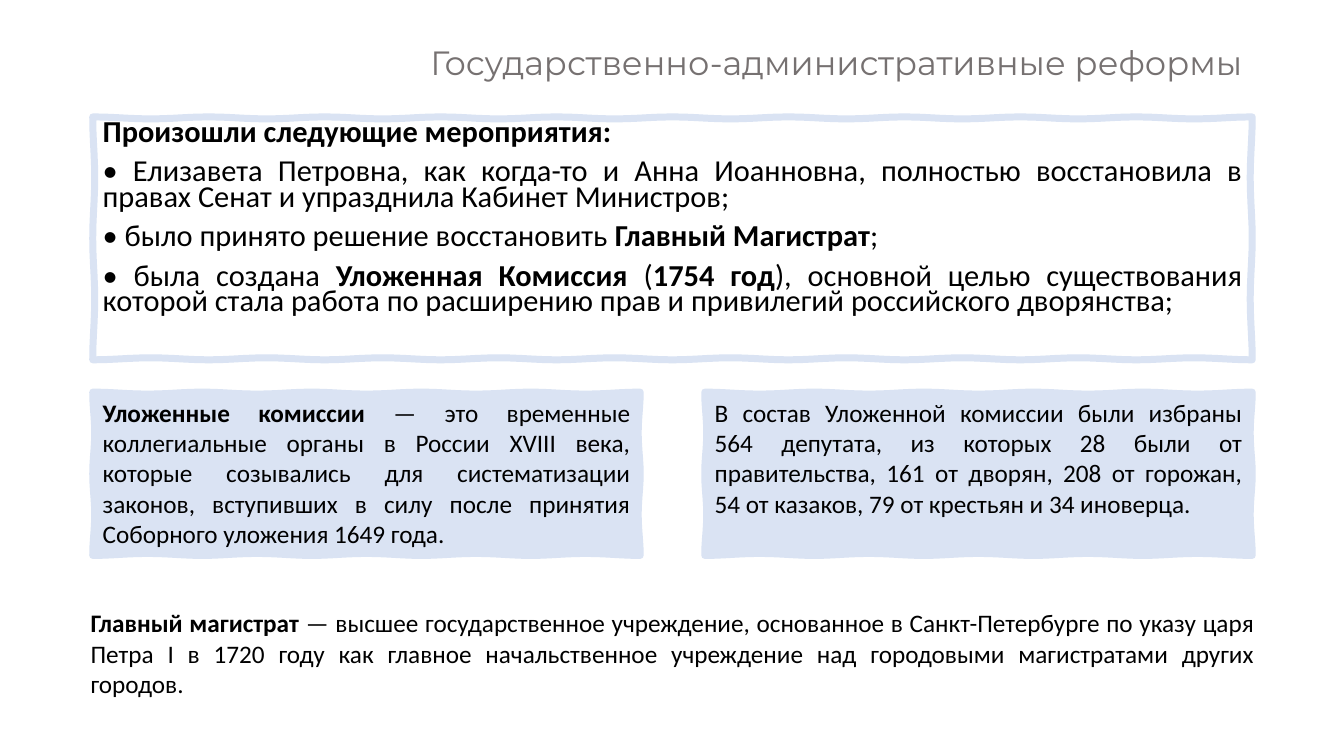
import math

import pptx
import pptx.dml.color
import pptx.enum.text
import pptx.util

Inches = pptx.util.Inches
Pt = pptx.util.Pt
ALIGN = pptx.enum.text.PP_ALIGN
ANCHOR = pptx.enum.text.MSO_ANCHOR

COLORS = {"title": "767171", "text": "000000", "pale_blue": "DAE3F3"}
LEFT, WIDTH = 0.92, 11.5
CARD_TOP, CARD_WIDTH, CARD_HEIGHT = 3.89, 5.43, 1.62

# Each paragraph is a list of (text, bold) spans.
MEASURES = [
    [("Произошли следующие мероприятия:", True)],
    [("• Елизавета Петровна, как когда-то и Анна Иоанновна, полностью "
      "восстановила в правах Сенат и упразднила Кабинет Министров;", False)],
    [("• было принято решение восстановить ", False),
     ("Главный Магистрат", True), (";", False)],
    [("• была создана ", False), ("Уложенная Комиссия ", True), ("(", False),
     ("1754 год", True),
     ("), основной целью существования которой стала работа по расширению "
      "прав и привилегий российского дворянства;", False)],
]
COMMISSIONS = [
    [("Уложенные комиссии ", True),
     ("— это временные коллегиальные органы в России XVIII века, которые "
      "созывались для систематизации законов, вступивших в силу после "
      "принятия Соборного уложения 1649 года.", False)],
]
DEPUTIES = [
    [("В состав Уложенной комиссии были избраны 564 депутата, из которых 28 "
      "были от правительства, 161 от дворян, 208 от горожан, 54 от казаков, "
      "79 от крестьян и 34 иноверца.", False)],
]
MAGISTRATE = [
    [("Главный магистрат ", True),
     ("— высшее государственное учреждение, основанное в Санкт-Петербурге по "
      "указу царя Петра I в 1720 году как главное начальственное учреждение "
      "над городовыми магистратами других городов.", False)],
]


def rgb(name):
    return pptx.dml.color.RGBColor.from_string(COLORS[name])


def write(shape, paragraphs, size, font="Calibri", color="text",
          align=ALIGN.JUSTIFY, anchor=ANCHOR.TOP, line_spacing=None, gap=0):
    frame = shape.text_frame
    frame.word_wrap = True
    frame.vertical_anchor = anchor
    for index, spans in enumerate(paragraphs):
        para = frame.add_paragraph() if index else frame.paragraphs[0]
        para.alignment = align
        if line_spacing:
            para.line_spacing = line_spacing
        if index:
            para.space_before = Pt(gap)
        for text, bold in spans:
            span = para.add_run()
            span.text = text
            span.font.name = font
            span.font.size = Pt(size)
            span.font.bold = bold
            span.font.color.rgb = rgb(color)


def add_text(page, left, top, width, height, paragraphs, size, **style):
    box = page.shapes.add_textbox(
        Inches(left), Inches(top), Inches(width), Inches(height))
    write(box, paragraphs, size, **style)


def wavy_outline(left, top, width, height, depth=0.02):
    """Points of a rectangle whose sides ripple inwards."""
    corners = [(left, top), (left + width, top),
               (left + width, top + height), (left, top + height)]
    points = []
    for (x1, y1), (x2, y2) in zip(corners, corners[1:] + corners[:1]):
        length = math.hypot(x2 - x1, y2 - y1)
        waves = max(2, round(length / 1.2))
        steps = waves * 10
        for step in range(steps):
            part = step / steps
            ripple = depth * math.sin(math.pi * waves * part) ** 2 / length
            points.append((Inches(x1 + (x2 - x1) * part - (y2 - y1) * ripple),
                           Inches(y1 + (y2 - y1) * part + (x2 - x1) * ripple)))
    return points


def add_sketch_box(page, left, top, width, height, paragraphs, size,
                   filled=True, **style):
    start, *others = wavy_outline(left, top, width, height)
    builder = page.shapes.build_freeform(*start)
    builder.add_line_segments(others, close=True)
    box = builder.convert_to_shape()
    box.shadow.inherit = False
    if filled:
        box.fill.solid()
        box.fill.fore_color.rgb = rgb("pale_blue")
    else:
        box.fill.background()
    box.line.color.rgb = rgb("pale_blue")
    box.line.width = Pt(5)
    write(box, paragraphs, size, **style)


def main():
    deck = pptx.Presentation()
    deck.slide_width, deck.slide_height = Inches(13.33), Inches(7.5)
    page = deck.slides.add_slide(deck.slide_layouts[6])

    add_text(page, LEFT, 0, WIDTH, 1.28,
             [[("Государственно-административные реформы", False)]], 24,
             font="Montserrat", color="title", align=ALIGN.RIGHT,
             anchor=ANCHOR.MIDDLE, line_spacing=0.9)
    add_sketch_box(page, LEFT, 1.16, WIDTH, 2.41, MEASURES, 21.7,
                   filled=False, line_spacing=0.7, gap=10)
    add_text(page, 0.8, 5.98, 11.74, 1.02, MAGISTRATE, 18)
    for left, paragraphs in ((LEFT, COMMISSIONS),
                             (LEFT + WIDTH - CARD_WIDTH, DEPUTIES)):
        add_sketch_box(page, left, CARD_TOP, CARD_WIDTH, CARD_HEIGHT,
                       paragraphs, 18)
    deck.save("out.pptx")


if __name__ == "__main__":
    main()
